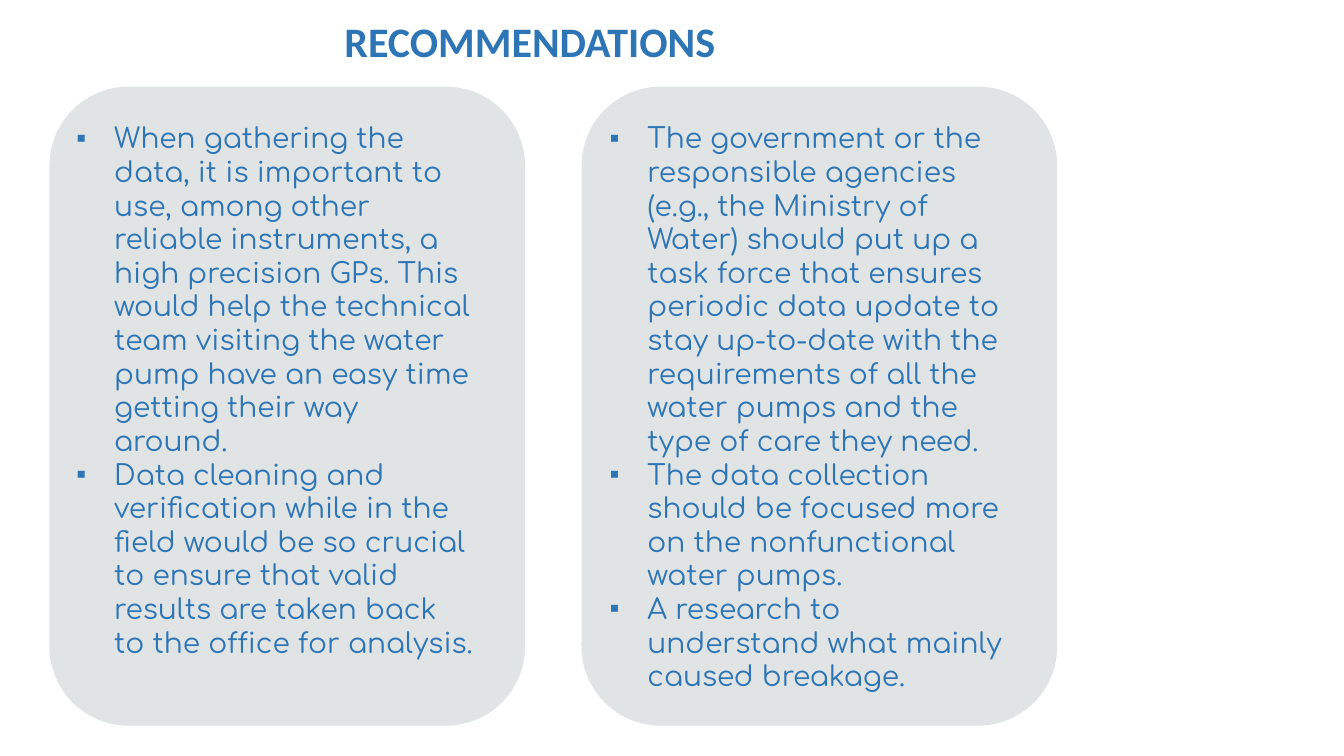
"""Build the recommendations slide with two bulleted panels."""
from lxml.etree import SubElement
from pptx import Presentation
from pptx.dml.color import RGBColor
from pptx.enum.shapes import MSO_SHAPE as Shape
from pptx.enum.text import MSO_AUTO_SIZE as AutoSize
from pptx.oxml.ns import qn
from pptx.util import Pt

BLUE = RGBColor(0x2E, 0x75, 0xB6)
GREY = RGBColor(0xE0, 0xE4, 0xE5)
PANEL_TOP, PANEL_WIDTH, PANEL_HEIGHT = 61.9, 339.8, 456.5
TEXT_TOP, TEXT_WIDTH = 82.8, 298.1
BULLET_INDENT = Pt(27)

COLUMNS = [
    (35.3, 47.5, 395.3, [
        "When gathering the data, it is important to use, among other reliable "
        "instruments, a high precision GPs. This would help the technical team "
        "visiting the water pump have an easy time getting their way around.",
        "Data cleaning and verification while in the field would be so crucial "
        "to ensure that valid results are taken back to the office for analysis.",
    ]),
    (415.4, 428.4, 419, [
        "The government or the responsible agencies (e.g., the Ministry of Water) "
        "should put up a task force that ensures periodic data update to stay "
        "up-to-date with the requirements of all the water pumps and the type of "
        "care they need.",
        "The data collection should be focused more on the nonfunctional water pumps.",
        "A research to understand what mainly caused breakage.",
    ]),
]


def add_panel(slide, left):
    """Add a rounded grey panel."""
    shape = slide.shapes.add_shape(
        Shape.ROUNDED_RECTANGLE, Pt(left), Pt(PANEL_TOP), Pt(PANEL_WIDTH), Pt(PANEL_HEIGHT))
    shape.shadow.inherit = False
    shape.fill.solid()
    shape.fill.fore_color.rgb = GREY
    shape.line.fill.background()


def add_bullet(paragraph):
    """Give a paragraph a square bullet and a hanging indent."""
    properties = paragraph._p.get_or_add_pPr()
    properties.set("marL", str(BULLET_INDENT))
    properties.set("indent", str(-BULLET_INDENT))
    SubElement(properties, qn("a:buFont"), typeface="Arial")
    SubElement(properties, qn("a:buChar"), char="▪")


def add_text(slide, left, top, width, height, texts, font_name, size, bold=False, bulleted=False):
    """Add a blue text box with one paragraph per text."""
    box = slide.shapes.add_textbox(Pt(left), Pt(top), Pt(width), Pt(height))
    frame = box.text_frame
    frame.word_wrap = True
    frame.auto_size = AutoSize.SHAPE_TO_FIT_TEXT
    frame.text = "\n".join(texts)
    for paragraph in frame.paragraphs:
        if bulleted:
            add_bullet(paragraph)
        font = paragraph.font
        font.name, font.size, font.bold = font_name, Pt(size), bold
        font.color.rgb = BLUE


def main():
    """Build and save the presentation."""
    presentation = Presentation()
    presentation.slide_width, presentation.slide_height = Pt(960), Pt(540)
    slide = presentation.slides.add_slide(presentation.slide_layouts[6])
    add_text(slide, 239, 7.2, 309.6, 43.9, ["RECOMMENDATIONS"], "Calibri", 30, bold=True)
    for panel_left, text_left, text_height, texts in COLUMNS:
        add_panel(slide, panel_left)
        add_text(slide, text_left, TEXT_TOP, TEXT_WIDTH, text_height, texts,
                 "Comfortaa", 20, bulleted=True)
    presentation.save("out.pptx")


if __name__ == "__main__":
    main()
